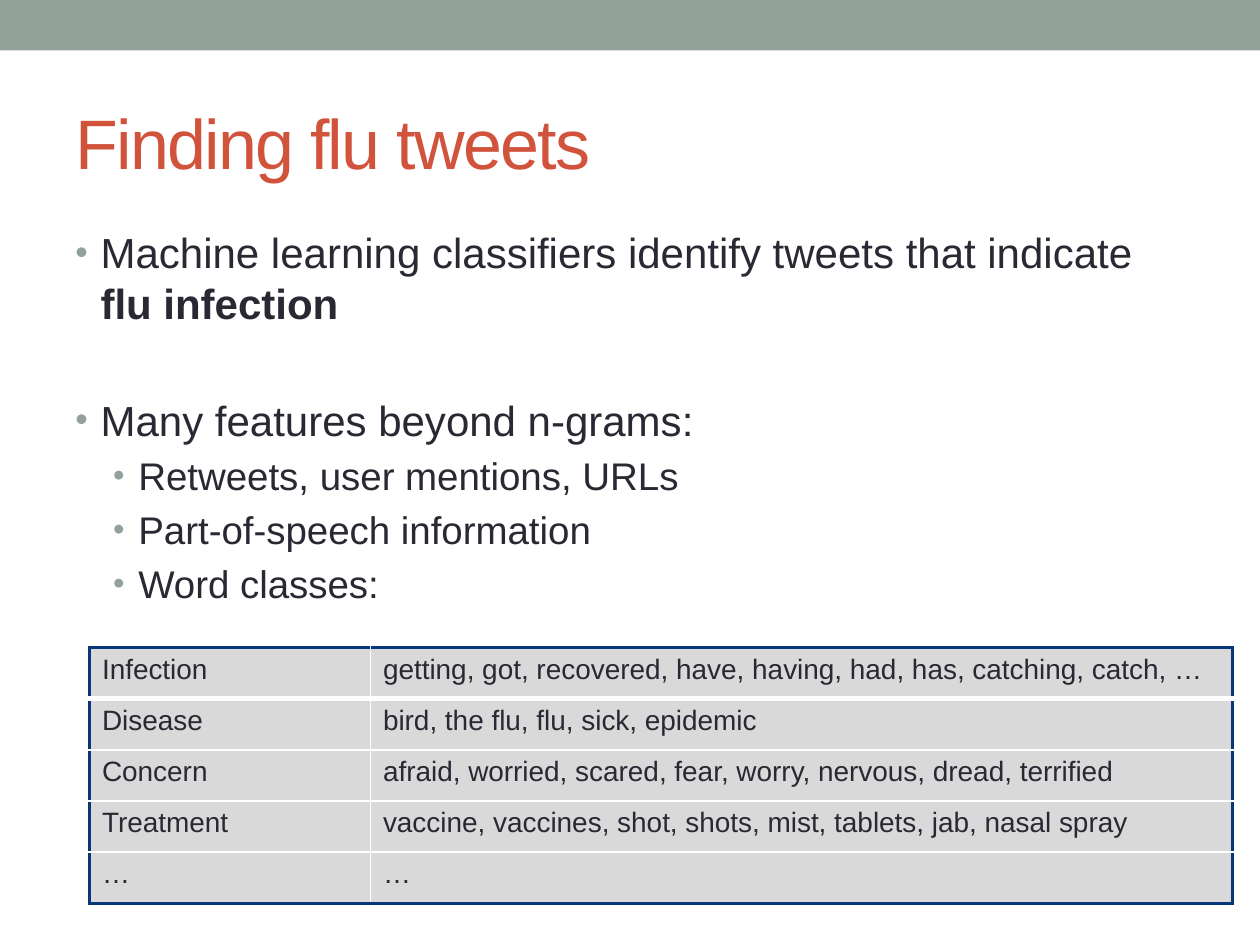
from lxml import etree
from pptx import Presentation
from pptx import util as u
from pptx.dml.color import RGBColor
from pptx.enum import shapes, text
from pptx.oxml.ns import qn

SAGE = RGBColor(0x93, 0xA2, 0x99)
RUST = RGBColor(0xD2, 0x53, 0x3C)
INK = RGBColor(0x29, 0x29, 0x34)
NAVY = RGBColor(0x07, 0x37, 0x79)
GREY = RGBColor(0xD9, 0xD9, 0xD9)
WHITE = RGBColor(0xFF, 0xFF, 0xFF)
FONT = "Arial"

FEATURES = [
    (0, 4.8, [("Machine learning classifiers identify tweets that indicate ", False),
              ("flu infection", True)]),
    (0, 38, [("Many features beyond n-grams:", False)]),
    (1, 4.4, [("Retweets, user mentions, URLs", False)]),
    (1, 4.4, [("Part-of-speech information", False)]),
    (1, 4.4, [("Word classes:", False)]),
]
WORD_CLASSES = [
    ("Infection", "getting, got, recovered, have, having, had, has, catching, catch, …"),
    ("Disease", "bird, the flu, flu, sick, epidemic"),
    ("Concern", "afraid, worried, scared, fear, worry, nervous, dread, terrified"),
    ("Treatment", "vaccine, vaccines, shot, shots, mist, tablets, jab, nasal spray"),
    ("…", "…"),
]


def add_run(paragraph, words, size, color, bold=False):
    """Add one styled run and return it."""
    run = paragraph.add_run()
    run.text = words
    run.font.name = FONT
    run.font.size = u.Pt(size)
    run.font.bold = bold
    run.font.color.rgb = color
    return run


def add_band(slide, left, top, width, height):
    """Draw the plain band along the top edge."""
    band = slide.shapes.add_shape(shapes.MSO_SHAPE.RECTANGLE, left, top, width, height)
    band.shadow.inherit = False
    band.fill.solid()
    band.fill.fore_color.rgb = SAGE
    band.line.fill.background()


def add_title(slide, left, top, width, height):
    """Write the tightly spaced heading."""
    frame = slide.shapes.add_textbox(left, top, width, height).text_frame
    frame.word_wrap = True
    frame.vertical_anchor = text.MSO_ANCHOR.MIDDLE
    heading = add_run(frame.paragraphs[0], "Finding flu tweets", 40, RUST)
    heading.font._element.set("spc", "-100")


def set_bullet(paragraph, level):
    """Give a paragraph its hanging indent and sage bullet."""
    props = paragraph._p.get_or_add_pPr()
    props.set("marL", str(u.Inches(0.2 + 0.3 * level)))
    props.set("indent", str(u.Inches(-0.2)))
    color = etree.SubElement(props, qn("a:buClr"))
    etree.SubElement(color, qn("a:srgbClr"), val=str(SAGE))
    etree.SubElement(props, qn("a:buSzPct"), val="85000")
    etree.SubElement(props, qn("a:buFont"), typeface=FONT)
    etree.SubElement(props, qn("a:buChar"), char="•")


def add_features(slide, left, top, width, height):
    """Write the two-level bullet list."""
    frame = slide.shapes.add_textbox(left, top, width, height).text_frame
    frame.word_wrap = True
    for index, (level, gap, parts) in enumerate(FEATURES):
        feature = frame.add_paragraph() if index else frame.paragraphs[0]
        feature.level = level
        feature.space_before = u.Pt(gap)
        set_bullet(feature, level)
        for words, bold in parts:
            add_run(feature, words, 24 - 2 * level, INK, bold)


def set_borders(cell, borders):
    """Draw the left, right, top and bottom borders of a cell."""
    props = cell._tc.get_or_add_tcPr()
    for side, (color, points) in zip("LRTB", borders):
        line = etree.SubElement(props, qn(f"a:ln{side}"), w=str(u.Pt(points)))
        fill = etree.SubElement(line, qn("a:solidFill"))
        etree.SubElement(fill, qn("a:srgbClr"), val=str(color))


def add_word_classes(slide, left, top, width, height):
    """Build the word class table with a navy frame and white inner rules."""
    outer, inner, thick = (NAVY, 2.25), (WHITE, 1), (WHITE, 3)
    last = len(WORD_CLASSES) - 1
    table = slide.shapes.add_table(last + 1, 2, left, top, width, height).table
    table.first_row = table.horz_banding = False
    table.columns[0].width = u.Inches(2.23)
    table.columns[1].width = width - u.Inches(2.23)
    rules = [outer, thick] + [inner] * (last - 1) + [outer]
    for row, entry in enumerate(WORD_CLASSES):
        for column, words in enumerate(entry):
            cell = table.cell(row, column)
            sides = (inner, outer) if column else (outer, inner)
            set_borders(cell, (*sides, rules[row], rules[row + 1]))
            cell.fill.solid()
            cell.fill.fore_color.rgb = GREY
            add_run(cell.text_frame.paragraphs[0], words, 16, INK)


def main():
    """Build and save the slide."""
    deck = Presentation()
    deck.slide_width, deck.slide_height = u.Inches(10), u.Inches(7.5)
    slide = deck.slides.add_slide(deck.slide_layouts[6])
    regions = [
        (add_band, (0, 0, 10, 0.4)),
        (add_title, (0.5, 0.58, 9, 1.08)),
        (add_features, (0.5, 1.75, 9, 5.75)),
        (add_word_classes, (0.71, 5.14, 9.07, 2.03)),
    ]
    for add_region, box in regions:
        add_region(slide, *map(u.Inches, box))
    deck.save("out.pptx")


if __name__ == "__main__":
    main()
